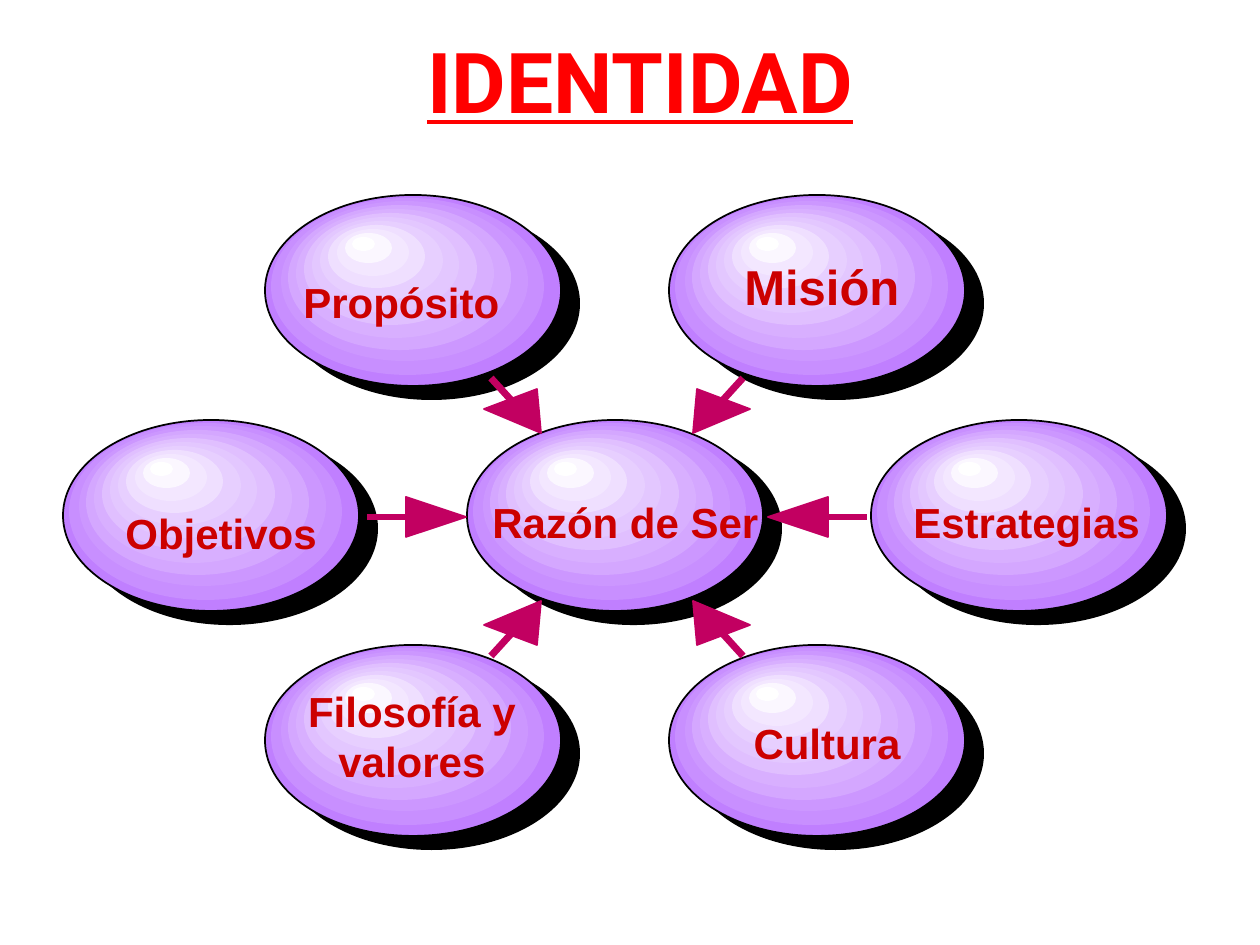
"""Build the IDENTIDAD slide: six glossy spheres pointing at a central one."""
from lxml import etree
from pptx import Presentation
from pptx.dml.color import RGBColor
from pptx.enum.shapes import MSO_CONNECTOR, MSO_SHAPE
from pptx.enum.text import MSO_ANCHOR, MSO_AUTO_SIZE, PP_ALIGN
from pptx.oxml.ns import qn
from pptx.util import Pt

OVAL = MSO_SHAPE.OVAL
STRAIGHT = MSO_CONNECTOR.STRAIGHT
LEFT, CENTER = PP_ALIGN.LEFT, PP_ALIGN.CENTER
TOP, MIDDLE = MSO_ANCHOR.TOP, MSO_ANCHOR.MIDDLE
NO_RESIZE, GROW = MSO_AUTO_SIZE.NONE, MSO_AUTO_SIZE.SHAPE_TO_FIT_TEXT
SCALE = 914400 / 126
COLORS = {"title": "FF0000", "label": "CC0000", "arrow": "C20061", "outline": "000000"}

LAYERS = [
    ("000000", 18, 12, 297, 193),
    ("C07FFF", 0, 0, 296, 191),
    ("C88FFF", 6, 3, 273, 177),
    ("CC97FF", 16, 6, 247, 160),
    ("D4A7FF", 23, 10, 223, 145),
    ("D8AFFF", 31, 14, 198, 129),
    ("E0BFFF", 39, 18, 173, 112),
    ("E3C7FF", 47, 22, 147, 96),
    ("E7CFFF", 55, 26, 123, 79),
    ("EFDFFF", 63, 30, 97, 63),
    ("F3E7FF", 72, 34, 72, 47),
    ("FBF7FF", 80, 38, 47, 30),
    ("FFFFFF", 87, 42, 23, 14),
]
SPHERES = [(0, 0), (1, -1), (2, 0), (1, 1), (-1, 1), (-2, 0), (-1, -1)]
SPHERE_LEFT, SPHERE_TOP, COLUMN_STEP, ROW_STEP = 467, 420, 202, 225

CENTER_X, CENTER_Y = 617, 517
DIAGONAL = [(126, 139), (106, 117), (76, 84), (133, 108), (80, 128)]
HORIZONTAL = [(250, 0), (211, 0), (151, 0), (211, -20), (211, 20)]
ARROWS = [(1, -1, DIAGONAL), (1, 1, HORIZONTAL), (1, 1, DIAGONAL),
          (-1, 1, DIAGONAL), (-1, 1, HORIZONTAL), (-1, -1, DIAGONAL)]

LABELS = [
    ("Propósito", 291, 270, 294, 63, 24, LEFT),
    ("Misión", 732, 250, 221, 72, 28, LEFT),
    ("Razón de Ser", 480, 490, 315, 63, 24, LEFT),
    ("Objetivos", 113, 501, 231, 63, 24, LEFT),
    ("Estrategias", 901, 490, 273, 63, 24, LEFT),
    ("Filosofía y valores", 291, 679, 242, 113, 24, CENTER),
    ("Cultura", 680, 711, 294, 63, 24, CENTER),
]


def px(*values):
    return [round(value * SCALE) for value in values]


def add_text(slide, text, box, size, font_name, color, alignment):
    shape = slide.shapes.add_textbox(*px(*box))
    text_frame = shape.text_frame
    text_frame.word_wrap = True
    text_frame.text = text
    paragraph = text_frame.paragraphs[0]
    paragraph.alignment = alignment
    font = paragraph.runs[0].font
    font.name, font.size, font.bold = font_name, Pt(size), True
    font.color.rgb = RGBColor.from_string(COLORS[color])
    return text_frame


presentation = Presentation()
presentation.slide_width, presentation.slide_height = px(1260, 945)
slide = presentation.slides.add_slide(presentation.slide_layouts[6])

for column, row in SPHERES:
    sphere = slide.shapes.add_group_shape()
    left = SPHERE_LEFT + column * COLUMN_STEP
    top = SPHERE_TOP + row * ROW_STEP
    for color, offset_x, offset_y, width, height in LAYERS:
        shape = sphere.shapes.add_shape(OVAL, *px(left + offset_x, top + offset_y, width, height))
        shape.shadow.inherit = False
        shape.fill.solid()
        shape.fill.fore_color.rgb = RGBColor.from_string(color)
        if (offset_x, offset_y) == (0, 0):
            shape.line.color.rgb = RGBColor.from_string(COLORS["outline"])
            shape.line.width = Pt(1)
        else:
            shape.line.fill.background()

arrow_color = RGBColor.from_string(COLORS["arrow"])
for sign_x, sign_y, offsets in ARROWS:
    points = [px(CENTER_X + sign_x * x, CENTER_Y + sign_y * y) for x, y in offsets]
    start, end, tip, *base = points
    arrow = slide.shapes.add_group_shape()
    shaft = arrow.shapes.add_connector(STRAIGHT, *start, *end)
    shaft.line.color.rgb = arrow_color
    shaft.line.width = Pt(4)
    etree.SubElement(shaft._element.spPr, qn("a:effectLst"))
    builder = arrow.shapes.build_freeform(*tip)
    builder.add_line_segments(base, close=True)
    head = builder.convert_to_shape()
    head.shadow.inherit = False
    head.fill.solid()
    head.fill.fore_color.rgb = arrow_color
    head.line.color.rgb = arrow_color
    head.line.width = Pt(1)

for text, left, top, width, height, size, alignment in LABELS:
    label = add_text(slide, text, (left, top, width, height), size, "Arial", "label", alignment)
    label.vertical_anchor = TOP
    label.auto_size = GROW

title = add_text(slide, "IDENTIDAD", (105, 0, 1071, 160), 48, "Roboto", "title", CENTER)
title.vertical_anchor = MIDDLE
title.auto_size = NO_RESIZE
title.paragraphs[0].runs[0].font.underline = True

presentation.save("out.pptx")
